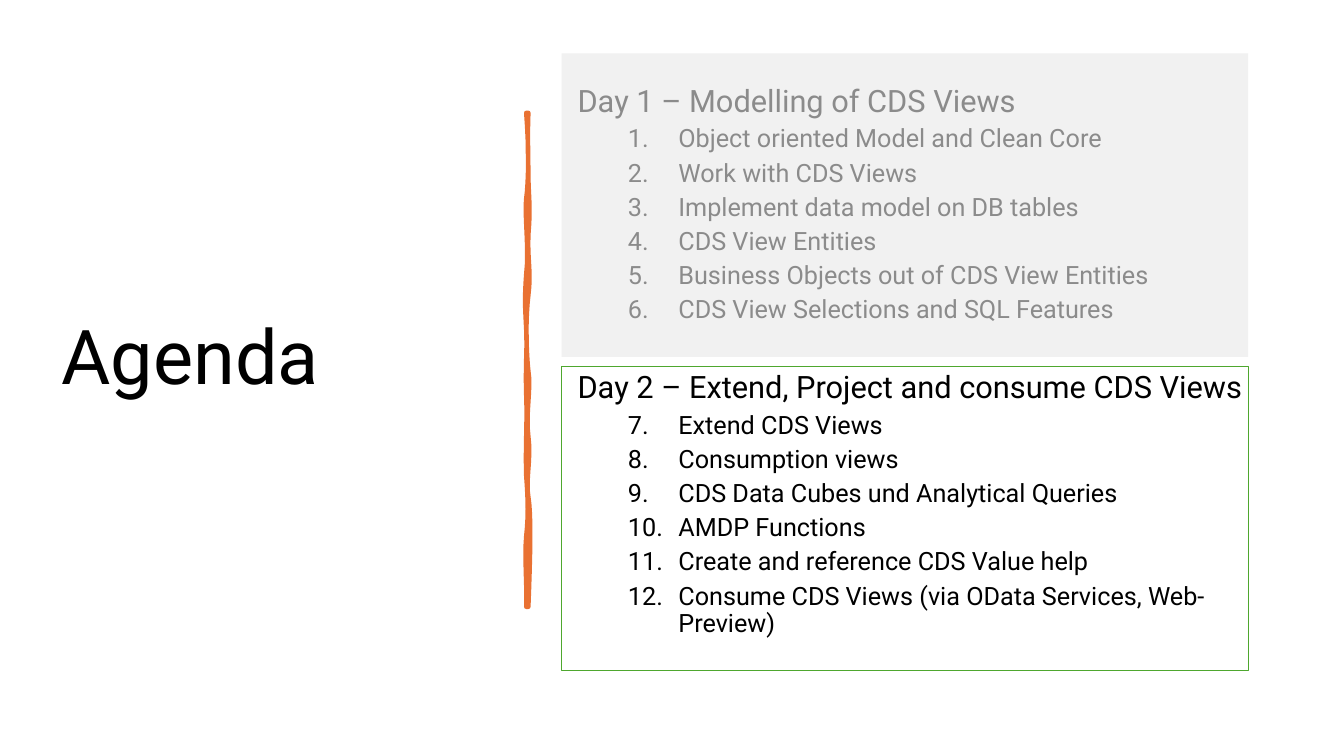
from dataclasses import dataclass

from lxml.etree import SubElement
from pptx import Presentation
from pptx.dml.color import RGBColor
from pptx.enum.shapes import MSO_SHAPE as Preset
from pptx.enum.text import MSO_ANCHOR as Anchor, MSO_AUTO_SIZE as AutoSize, PP_ALIGN as Align
from pptx.oxml.ns import qn
from pptx.slide import Slide
from pptx.text.text import TextFrame, _Paragraph as Paragraph
from pptx.util import Inches, Pt


@dataclass(frozen=True)
class Theme:
    font: str = "Roboto"
    text: RGBColor = RGBColor(0x00, 0x00, 0x00)
    accent: RGBColor = RGBColor(0xE9, 0x71, 0x32)
    veil: RGBColor = RGBColor(0xE8, 0xE8, 0xE8)
    frame: RGBColor = RGBColor(0x4E, 0xA7, 0x2E)
    title_size: int = 54
    heading_size: int = 22
    item_size: int = 18


@dataclass(frozen=True)
class Day:
    heading: str
    space_before: int
    first_number: int
    items: tuple[str, ...]


@dataclass(frozen=True)
class Panel:
    top: float
    fill: RGBColor | None = None
    line: RGBColor | None = None


@dataclass(frozen=True)
class Curve:
    control_1: tuple[float, float]
    control_2: tuple[float, float]
    end: tuple[float, float]


THEME = Theme()
DAYS = (
    Day("Day 1 – Modelling of CDS Views", 10, 1, (
        "Object oriented Model and Clean Core",
        "Work with CDS Views",
        "Implement data model on DB tables",
        "CDS View Entities",
        "Business Objects out of CDS View Entities",
        "CDS View Selections and SQL Features",
    )),
    Day("Day 2 – Extend, Project and consume CDS Views", 34, 7, (
        "Extend CDS Views",
        "Consumption views",
        "CDS Data Cubes und Analytical Queries",
        "AMDP Functions",
        "Create and reference CDS Value help",
        "Consume CDS Views (via OData Services, Web-Preview)",
    )),
)
PANELS = (Panel(0.53, fill=THEME.veil), Panel(3.64, line=THEME.frame))
BAR_START = (5.24, 1.12)
BAR_CURVES = (
    Curve((5.23, 1.42), (5.24, 1.49), (5.24, 1.77)),
    Curve((5.25, 2.06), (5.26, 2.07), (5.24, 2.33)),
    Curve((5.23, 2.59), (5.27, 2.69), (5.24, 2.93)),
    Curve((5.21, 3.17), (5.22, 3.5), (5.24, 3.68)),
    Curve((5.27, 3.86), (5.21, 4.1), (5.24, 4.33)),
    Curve((5.27, 4.56), (5.21, 4.76), (5.24, 4.93)),
    Curve((5.27, 5.11), (5.26, 5.51), (5.24, 6.02)),
    Curve((5.23, 6.02), (5.23, 6.02), (5.22, 6.02)),
    Curve((5.23, 5.84), (5.2, 5.53), (5.22, 5.32)),
    Curve((5.24, 5.12), (5.24, 5.0), (5.22, 4.72)),
    Curve((5.21, 4.44), (5.23, 4.22), (5.22, 3.92)),
    Curve((5.21, 3.63), (5.23, 3.47), (5.22, 3.27)),
    Curve((5.21, 3.07), (5.2, 2.97), (5.22, 2.72)),
    Curve((5.25, 2.47), (5.2, 2.12), (5.22, 1.97)),
    Curve((5.24, 1.82), (5.25, 1.52), (5.22, 1.12)),
)


def format_paragraph(paragraph: Paragraph, size: int, space_before: int = 0) -> None:
    paragraph.alignment = Align.LEFT
    paragraph.line_spacing = 0.9
    paragraph.space_before = Pt(space_before)
    for run in paragraph.runs:
        run.font.name = THEME.font
        run.font.size = Pt(size)
        run.font.color.rgb = THEME.text


def number_paragraph(paragraph: Paragraph, first_number: int) -> None:
    paragraph.level = 1
    properties = paragraph._p.get_or_add_pPr()
    properties.set("marL", str(Inches(1)))
    properties.set("indent", str(Inches(-0.5)))
    SubElement(properties, qn("a:buFont"), typeface="+mj-lt")
    SubElement(properties, qn("a:buAutoNum"), type="arabicPeriod", startAt=str(first_number))


def add_title(slide: Slide) -> None:
    title = slide.shapes.title
    title.left, title.top = Inches(0.51), Inches(0.6)
    title.width, title.height = Inches(4.71), Inches(5.94)
    title.text_frame.text = "Agenda"
    title.text_frame.vertical_anchor = Anchor.MIDDLE
    title.text_frame.auto_size = AutoSize.NONE
    format_paragraph(title.text_frame.paragraphs[0], THEME.title_size)


def sample_curve(start: tuple[float, float], curve: Curve, steps: int = 8) -> list[tuple[int, int]]:
    points = []
    for step in range(1, steps + 1):
        t = step / steps
        weights = ((1 - t) ** 3, 3 * t * (1 - t) ** 2, 3 * t**2 * (1 - t), t**3)
        knots = (start, curve.control_1, curve.control_2, curve.end)
        x, y = (sum(w * knot[axis] for w, knot in zip(weights, knots)) for axis in (0, 1))
        points.append((Inches(x), Inches(y)))
    return points


def add_bar(slide: Slide) -> None:
    builder = slide.shapes.build_freeform(Inches(BAR_START[0]), Inches(BAR_START[1]))
    starts = (BAR_START, *(curve.end for curve in BAR_CURVES))
    for start, curve in zip(starts, BAR_CURVES):
        builder.add_line_segments(sample_curve(start, curve), close=curve is BAR_CURVES[-1])
    bar = builder.convert_to_shape()
    bar.shadow.inherit = False
    bar.fill.solid()
    bar.fill.fore_color.rgb = THEME.accent
    bar.line.color.rgb = THEME.accent
    bar.line.width = Pt(3.25)
    SubElement(bar.line._get_or_add_ln(), qn("a:round"))


def add_day(text_frame: TextFrame, day: Day) -> None:
    first = text_frame.paragraphs[0]
    heading = text_frame.add_paragraph() if first.text else first
    heading.text = day.heading
    format_paragraph(heading, THEME.heading_size, day.space_before)
    for item in day.items:
        paragraph = text_frame.add_paragraph()
        paragraph.text = item
        format_paragraph(paragraph, THEME.item_size, 5)
        number_paragraph(paragraph, day.first_number)


def add_agenda(slide: Slide) -> None:
    box = slide.shapes.add_textbox(Inches(5.63), Inches(0.85), Inches(6.81), Inches(5.94))
    text_frame = box.text_frame
    text_frame.word_wrap = True
    text_frame.vertical_anchor = Anchor.MIDDLE
    text_frame.margin_bottom = Inches(0.51)
    for day in DAYS:
        add_day(text_frame, day)


def add_panel(slide: Slide, panel: Panel) -> None:
    shape = slide.shapes.add_shape(
        Preset.RECTANGLE, Inches(5.57), Inches(panel.top), Inches(6.81), Inches(3.01))
    shape.shadow.inherit = False
    if panel.fill is None:
        shape.fill.background()
    else:
        shape.fill.solid()
        shape.fill.fore_color.rgb = panel.fill
        color = shape._element.spPr.find(qn("a:solidFill")).find(qn("a:srgbClr"))
        SubElement(color, qn("a:alpha"), val="60000")
    if panel.line is None:
        shape.line.fill.background()
    else:
        shape.line.color.rgb = panel.line
        shape.line.width = Pt(0.75)


def main() -> None:
    presentation = Presentation()
    presentation.slide_width, presentation.slide_height = Inches(13.33), Inches(7.5)
    slide = presentation.slides.add_slide(presentation.slide_layouts.get_by_name("Title Only"))
    add_title(slide)
    add_bar(slide)
    add_agenda(slide)
    for panel in PANELS:
        add_panel(slide, panel)
    presentation.save("out.pptx")


if __name__ == "__main__":
    main()
